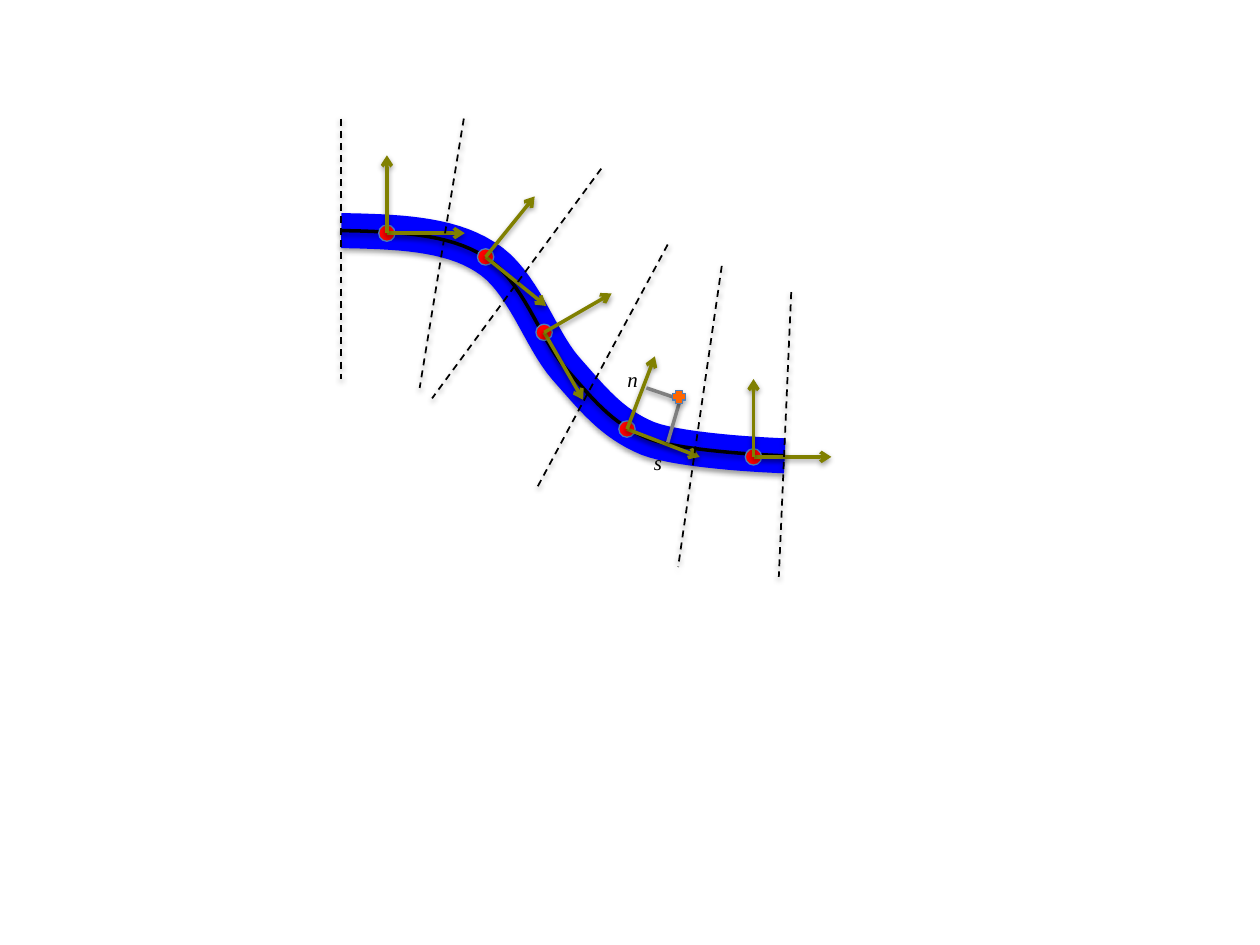
"""Draw a curved road with local axes, cell borders and one marked point."""
import math

import pptx
import pptx.dml.color
import pptx.enum.dml
import pptx.enum.shapes
import pptx.enum.text
import pptx.oxml
import pptx.oxml.ns
import pptx.util
from pptx.util import Cm

HUES = {"road": "0000FF", "ink": "000000", "dot": "FF0000", "rim": "4B7EBC",
        "axis": "808000", "gray": "808080", "mark": "FF6600"}
KINDS = pptx.enum.shapes.MSO_SHAPE
START = (6.88, 4.65)
BENDS = [((7.95, 4.67), (9.04, 4.70), (9.78, 5.18)),
         ((10.54, 5.64), (10.87, 6.81), (11.40, 7.42)),
         ((11.94, 8.03), (12.32, 8.53), (13.06, 8.84)),
         ((13.79, 9.12), (15.82, 9.19), (15.82, 9.19))]
FRAMES = [(7.80, 4.70, 0), (9.79, 5.18, 39), (10.97, 6.70, 60),
          (12.64, 8.65, 21), (15.19, 9.21, 0)]
EDGES = [(9.35, 2.39, 8.46, 7.82), (12.12, 3.40, 8.71, 8.03),
         (13.46, 4.93, 10.80, 9.88), (14.55, 5.36, 13.67, 11.43),
         (6.88, 2.39, 6.88, 7.65), (15.95, 5.89, 15.70, 11.63)]
REACH = 1.57
STEPS = 16


def tint(name):
    """Return the named colour."""
    return pptx.dml.color.RGBColor.from_string(HUES[name])


def ink(line, hue, width):
    """Set the colour and width of a line."""
    line.color.rgb = tint(hue)
    line.width = pptx.util.Pt(width)


def shade(shape, alpha=38, drop=20000):
    """Give a shape a soft shadow straight below."""
    props = shape._element.spPr
    for old in props.findall(pptx.oxml.ns.qn("a:effectLst")):
        props.remove(old)
    props.append(pptx.oxml.parse_xml(
        f'<a:effectLst {pptx.oxml.ns.nsdecls("a")}>'
        f'<a:outerShdw blurRad="40000" dist="{drop}" dir="5400000" rotWithShape="0">'
        f'<a:srgbClr val="{HUES["ink"]}"><a:alpha val="{alpha * 1000}"/></a:srgbClr>'
        '</a:outerShdw></a:effectLst>'))


def trace():
    """Return points along the road's middle."""
    points = [START]
    for one, two, end in BENDS:
        ends = points[-1], one, two, end
        for step in range(1, STEPS + 1):
            t = step / STEPS
            parts = (1 - t) ** 3, 3 * t * (1 - t) ** 2, 3 * t * t * (1 - t), t ** 3
            points.append(tuple(sum(w * p[k] for w, p in zip(parts, ends))
                                for k in (0, 1)))
    return [(Cm(x), Cm(y)) for x, y in points]


def add_curve(shapes, hue, width):
    """Draw the road's curve in one colour."""
    points = trace()
    form = shapes.build_freeform(*points[0])
    form.add_line_segments(points[1:], close=False)
    curve = form.convert_to_shape()
    curve.fill.background()
    ink(curve.line, hue, width)
    shade(curve)


def add_mark(shapes, kind, x, y, size, hue):
    """Draw a small filled shape around a centre."""
    mark = shapes.add_shape(kind, Cm(x - size / 2), Cm(y - size / 2),
                            Cm(size), Cm(size))
    mark.shadow.inherit = False
    mark.fill.solid()
    mark.fill.fore_color.rgb = tint(hue)
    ink(mark.line, "rim", 0.75)
    return mark


def add_line(shapes, ends, hue, width):
    """Draw a straight line with a shadow."""
    line = shapes.add_connector(pptx.enum.shapes.MSO_CONNECTOR.STRAIGHT,
                                *[Cm(end) for end in ends])
    ink(line.line, hue, width)
    shade(line)
    return line


def add_frame(shapes, x, y, angle):
    """Draw a group of two arrows at right angles."""
    group = shapes.add_group_shape()
    for turn in (angle, angle - 90):
        slope = math.radians(turn)
        ends = x, y, x + REACH * math.cos(slope), y + REACH * math.sin(slope)
        arrow = add_line(group.shapes, ends, "axis", 2)
        arrow.line._get_or_add_ln().append(pptx.oxml.parse_xml(
            f'<a:tailEnd {pptx.oxml.ns.nsdecls("a")} type="arrow"/>'))


def add_label(shapes, text, x, y):
    """Write an italic axis name."""
    frame = shapes.add_textbox(Cm(x), Cm(y), Cm(0.82), Cm(0.76)).text_frame
    frame.word_wrap = False
    frame.auto_size = pptx.enum.text.MSO_AUTO_SIZE.SHAPE_TO_FIT_TEXT
    para = frame.paragraphs[0]
    para.text = text
    para.font.name = "Times New Roman"
    para.font.size = pptx.util.Pt(12)
    para.font.italic = True
    para.font.color.rgb = tint("ink")


def main():
    """Build and save the slide."""
    deck = pptx.Presentation()
    deck.slide_width, deck.slide_height = Cm(25.4), Cm(19.05)
    shapes = deck.slides.add_slide(deck.slide_layouts[6]).shapes
    add_curve(shapes, "road", 20)
    add_curve(shapes, "ink", 2)
    for x, y, _ in FRAMES:
        add_mark(shapes, KINDS.OVAL, x, y, 0.33, "dot")
    for frame in FRAMES:
        add_frame(shapes, *frame)
    for ends in EDGES:
        edge = add_line(shapes, ends, "ink", 1)
        edge.line.dash_style = pptx.enum.dml.MSO_LINE.DASH
    across = add_line(shapes, (13.03, 7.82, 13.56, 8.00), "gray", 2)
    down = add_line(shapes, (13.69, 8.13, 13.46, 8.92), "gray", 2)
    point = add_mark(shapes, KINDS.CROSS, 13.69, 8.00, 0.26, "mark")
    shade(point, 35, 23000)
    across.end_connect(point, 1)
    down.begin_connect(point, 2)
    add_label(shapes, "n", 12.40, 7.26)
    add_label(shapes, "s", 12.93, 8.94)
    deck.save("out.pptx")


if __name__ == "__main__":
    main()
